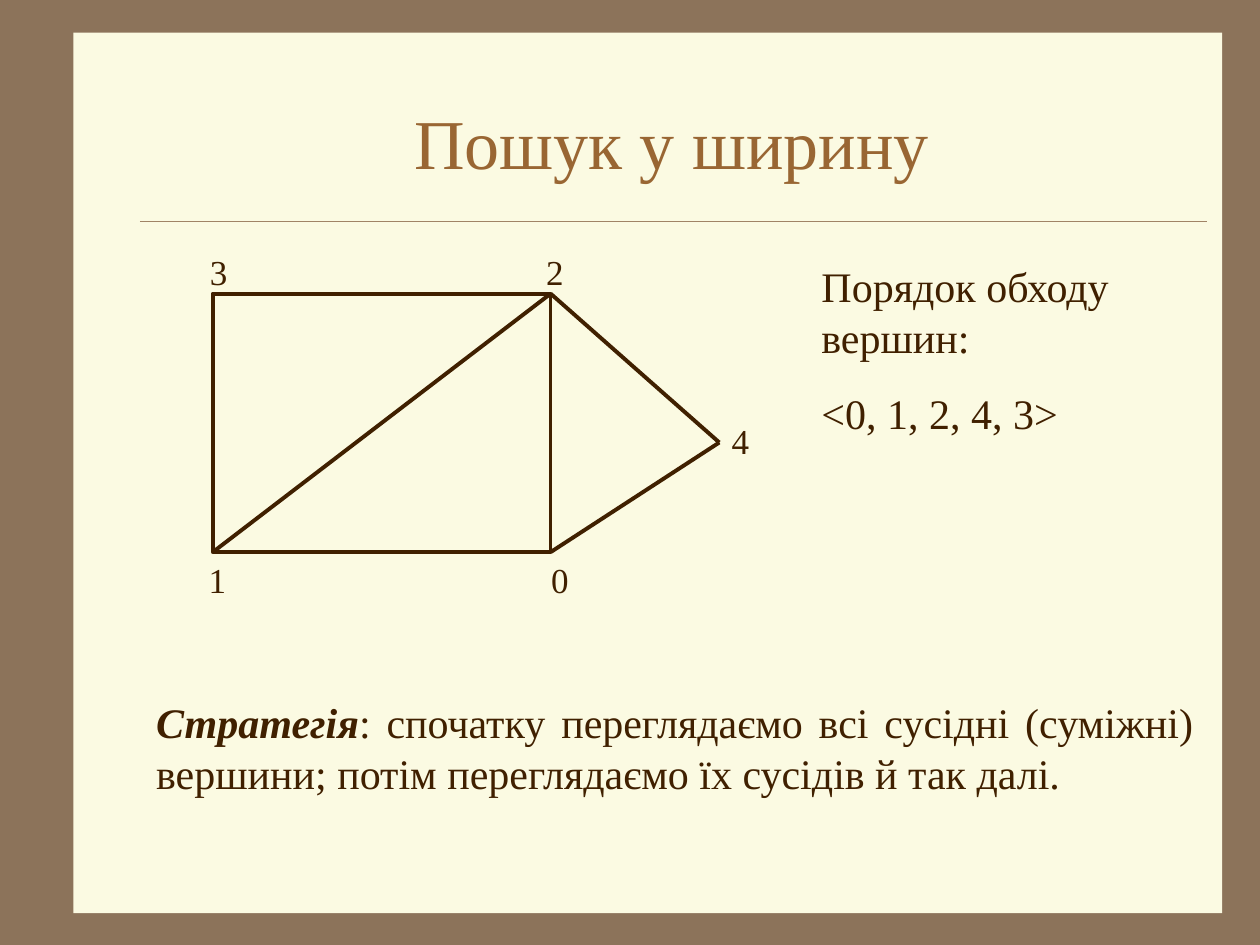
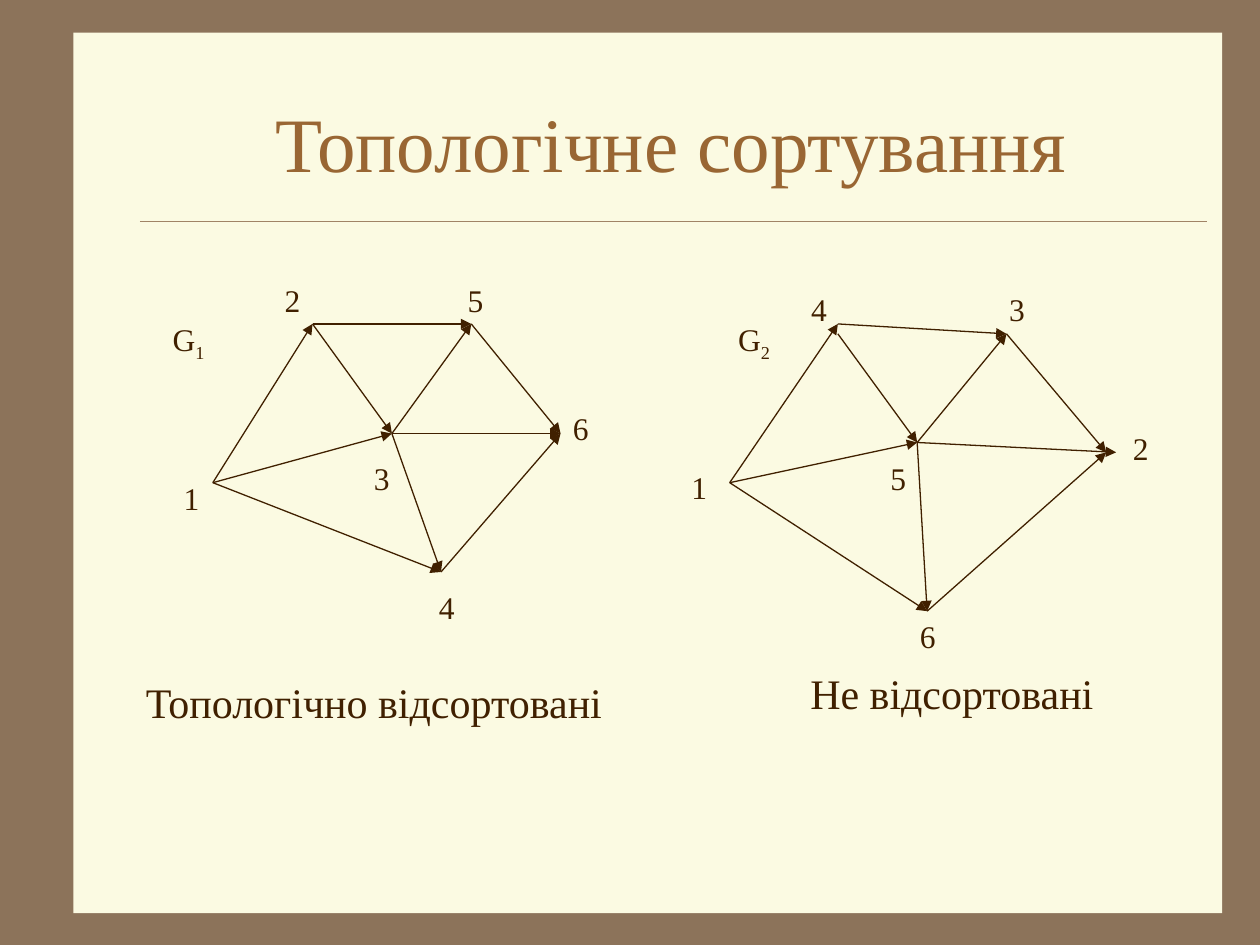
from lxml import etree
from pptx import Presentation
from pptx import util as u
from pptx.dml.color import RGBColor
from pptx.enum import shapes, text
from pptx.oxml import ns

BROWN = RGBColor(0x8C, 0x73, 0x5A)
CREAM = RGBColor(0xFB, 0xFA, 0xE2)
RULE = RGBColor(0xA0, 0x83, 0x66)
TITLE = RGBColor(0x99, 0x66, 0x33)
INK = RGBColor(0x40, 0x20, 0x00)
FONT = "Times New Roman"
LEFT, CENTER, JUSTIFY = text.PP_ALIGN.LEFT, text.PP_ALIGN.CENTER, text.PP_ALIGN.JUSTIFY


def write(frame, *paragraphs, size, align=CENTER, colour=INK, before=0, grow=True):
    frame.word_wrap = True
    frame.auto_size = text.MSO_AUTO_SIZE.SHAPE_TO_FIT_TEXT if grow else text.MSO_AUTO_SIZE.NONE
    for number, runs in enumerate(paragraphs):
        paragraph = frame.add_paragraph() if number else frame.paragraphs[0]
        paragraph.alignment = align
        paragraph.space_before = u.Pt(before)
        for words, style in runs:
            run = paragraph.add_run()
            run.text = words
            run.font.name, run.font.size = FONT, u.Pt(size)
            run.font.color.rgb = colour
            run.font.bold = run.font.italic = style == "strong"
            if style == "sub":
                run.font._element.set("baseline", "-25000")


def draw_edge(slide, start, end, weight, colour=INK, arrow=False):
    ends = [u.Cm(value) for value in (*start, *end)]
    edge = slide.shapes.add_connector(shapes.MSO_CONNECTOR.STRAIGHT, *ends)
    edge.line.color.rgb = colour
    edge.line.width = u.Pt(weight)
    if arrow:
        etree.SubElement(edge.line._get_or_add_ln(), ns.qn("a:tailEnd"), type="triangle")
    etree.SubElement(edge._element.spPr, ns.qn("a:effectLst"))
    return edge


prs = Presentation()
prs.slide_width, prs.slide_height = u.Cm(25.4), u.Cm(19.05)
layout = prs.slide_layouts[5]
layout.background.fill.solid()
layout.background.fill.fore_color.rgb = BROWN
heading = layout.placeholders[0]
heading.left, heading.top, heading.width, heading.height = u.Cm(2.74), u.Cm(1.27), u.Cm(21.59), u.Cm(3.18)
heading.text_frame.vertical_anchor = text.MSO_ANCHOR.MIDDLE

breadth, sorting = [prs.slides.add_slide(layout) for _ in range(2)]
for slide, title, size in ((breadth, "Пошук у ширину", 40), (sorting, "Топологічне сортування", 44)):
    write(slide.shapes.title.text_frame, [(title, "")], size=size, colour=TITLE, grow=False)

paper = breadth.shapes.add_shape(
    shapes.MSO_SHAPE.RECTANGLE, u.Cm(1.48), u.Cm(0.66), u.Cm(23.16), u.Cm(17.75))
paper.shadow.inherit = False
paper.fill.solid()
paper.fill.fore_color.rgb = CREAM
paper.line.fill.background()
title_rule = draw_edge(breadth, (2.82, 4.45), (24.33, 4.45), 0.25, RULE)
for place, part in enumerate((paper, title_rule)):
    part._element.xpath(".//p:cNvPr")[0].set("id", str(101 + place))
    layout.shapes._spTree.insert(2 + place, part._element)

vertices = {"0": (11.1, 11.13), "1": (4.29, 11.13), "2": (11.1, 5.92), "3": (4.29, 5.92), "4": (14.5, 8.92)}
x, y = vertices["3"]
right, bottom = vertices["0"]
square = breadth.shapes.add_shape(
    shapes.MSO_SHAPE.RECTANGLE, u.Cm(x), u.Cm(y), u.Cm(right - x), u.Cm(bottom - y))
square.shadow.inherit = False
square.fill.background()
square.line.color.rgb = INK
square.line.width = u.Pt(2.25)
for start, end in ("12", "24", "40"):
    draw_edge(breadth, vertices[start], vertices[end], 2.25)

vertex_labels = [
    ("0", 10.69, 11.13, 1.19), ("1", 3.89, 11.13, 0.99), ("2", 10.69, 4.93, 0.99),
    ("3", 3.71, 4.93, 1.4), ("4", 14.5, 8.33, 0.79),
]
for label, x, y, width in vertex_labels:
    box = breadth.shapes.add_textbox(u.Cm(x), u.Cm(y), u.Cm(width), u.Cm(1.12))
    write(box.text_frame, [(label, "")], size=20, before=12.5)

strategy = breadth.shapes.add_textbox(u.Cm(2.9), u.Cm(13.92), u.Cm(21.41), u.Cm(2.29))
write(strategy.text_frame,
      [("Стратегія", "strong"),
       (": спочатку переглядаємо всі сусідні (суміжні) вершини; "
        "потім переглядаємо їх сусідів й так далі.", "")],
      size=24, align=JUSTIFY, before=15)
order = breadth.shapes.add_textbox(u.Cm(16.31), u.Cm(5.13), u.Cm(7.59), u.Cm(3.84))
write(order.text_frame, [("Порядок обходу вершин:", "")], [("<0, 1, 2, 4, 3>", "")],
      size=24, align=LEFT, before=15)

arrows = [
    ("west", "north"), ("north", "northeast"), ("northeast", "east"), ("south", "east"),
    ("west", "south"), ("west", "centre"), ("north_exit", "centre"),
    ("centre", "northeast"), ("centre", "east_entry"), ("centre", "south"),
]
graphs = [
    {"west": (4.29, 9.73), "north": (6.3, 6.53), "north_exit": (6.3, 6.53),
     "northeast": (9.5, 6.53), "east": (11.3, 8.74), "east_entry": (11.3, 8.74),
     "south": (8.89, 11.53), "centre": (7.9, 8.74)},
    {"west": (14.71, 9.73), "north": (16.89, 6.53), "north_exit": (16.89, 6.73),
     "northeast": (20.29, 6.73), "east": (22.3, 9.12), "east_entry": (22.5, 9.12),
     "south": (18.69, 12.32), "centre": (18.49, 8.92)},
]
for spots in graphs:
    for start, end in arrows:
        draw_edge(sorting, spots[start], spots[end], 0.75, arrow=True)

node_labels = [
    ("1", 3.43, 9.53, 0.86), ("2", 5.49, 5.54, 0.81), ("5", 9.09, 5.54, 0.99),
    ("6", 11.3, 8.13, 0.81), ("4", 8.51, 11.73, 0.99), ("3", 7.29, 9.12, 0.61),
    ("1", 13.69, 9.32, 0.79), ("4", 16.1, 5.72, 0.81), ("3", 19.91, 5.72, 1.19),
    ("2", 22.5, 8.53, 0.99), ("6", 18.11, 12.32, 1.19), ("5", 17.7, 9.12, 0.81),
]
for label, x, y, width in node_labels:
    box = sorting.shapes.add_textbox(u.Cm(x), u.Cm(y), u.Cm(width), u.Cm(1.02))
    write(box.text_frame, [(label, "")], size=18, before=11.2)

for index, x in (("1", 3.1), ("2", 14.5)):
    graph_name = sorting.shapes.add_textbox(u.Cm(x), u.Cm(6.32), u.Cm(1.4), u.Cm(1.12))
    write(graph_name.text_frame, [("G", ""), (index, "sub")], size=18, before=11.2)

captions = [
    ("Топологічно відсортовані", 2.69, 13.51, 10.01, LEFT),
    ("Не відсортовані", 15.09, 13.34, 8.2, CENTER),
]
for words, x, y, width, align in captions:
    caption = sorting.shapes.add_textbox(u.Cm(x), u.Cm(y), u.Cm(width), u.Cm(1.27))
    write(caption.text_frame, [(words, "")], size=24, align=align, before=15)

prs.save("out.pptx")
